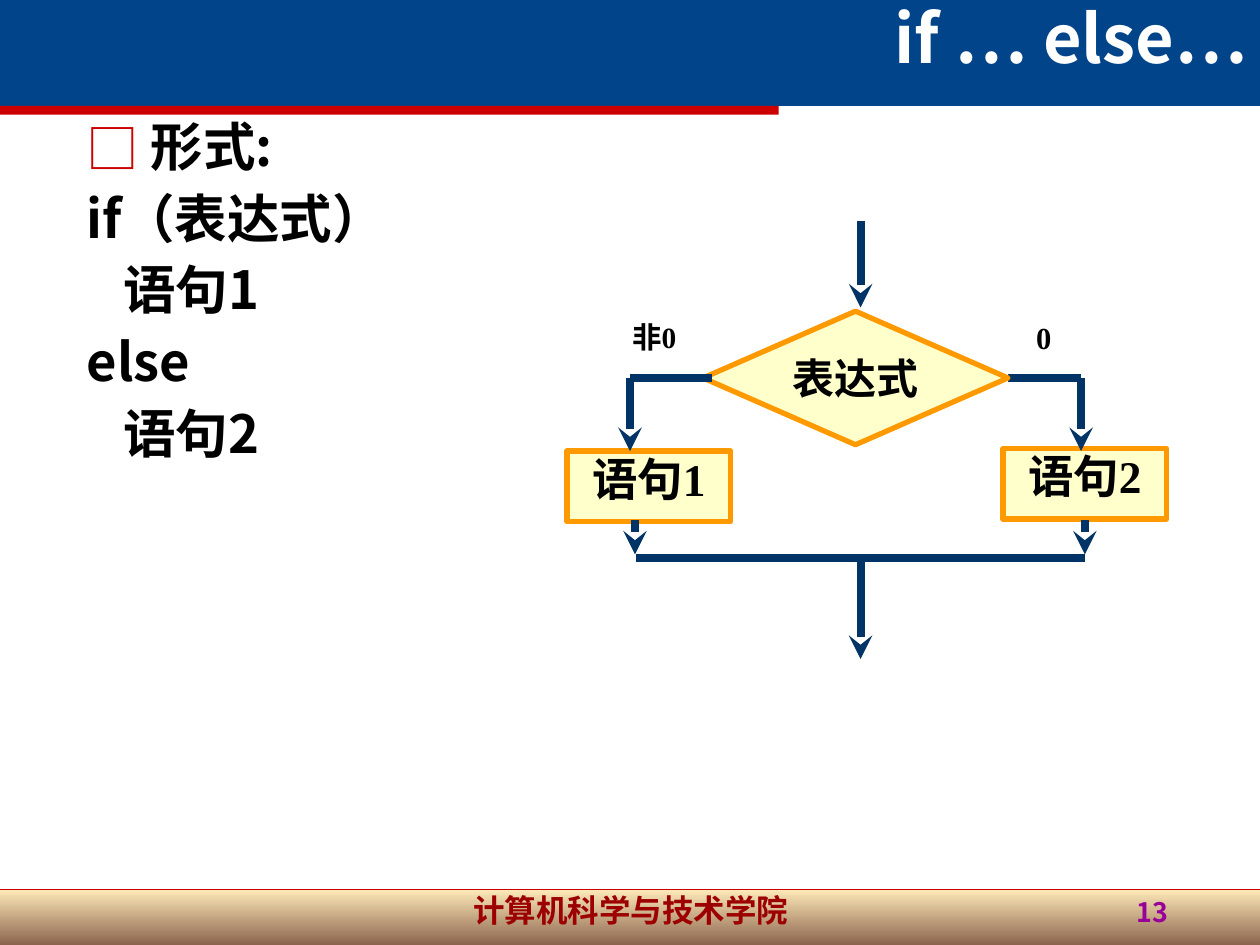
"""Build a slide that explains the if … else statement with a flowchart."""
from lxml.etree import SubElement
from pptx import Presentation
from pptx.dml.color import RGBColor
from pptx.enum.shapes import MSO_CONNECTOR as Connector, MSO_SHAPE as Shape
from pptx.enum.text import MSO_ANCHOR as Anchor, PP_ALIGN as Align
from pptx.oxml.ns import qn
from pptx.util import Inches, Pt

COLORS = {
    "header": "01448A", "accent": "CC0000", "footer_top": "FDE9B8", "footer_bottom": "8C644E",
    "school": "9C0000", "number": "990099", "white": "FFFFFF", "black": "000000",
    "box": "FFFFCC", "border": "FF9900", "flow": "003366",
}
SANS, SERIF = "Noto Sans CJK SC", "Times New Roman"

TITLE = "if … else…"
SCHOOL = "计算机科学与技术学院"
PAGE_NUMBER = "13"
BODY = [("形式:", 0.51, True), ("if（表达式）", 0, False), ("语句1", 0.29, False),
        ("else", 0, False), ("语句2", 0.29, False)]

BOXES = {
    "decision": ("表达式", Shape.FLOWCHART_DECISION, (5.58, 2.47, 2.42, 1.06), 24, 1),
    "then": ("语句1", Shape.FLOWCHART_PROCESS, (4.5, 3.58, 1.3, 0.56), 25.9, 0.9),
    "else": ("语句2", Shape.FLOWCHART_PROCESS, (7.96, 3.56, 1.3, 0.56), 25.9, 0.9),
}
LABELS = [("非0", (4.92, 2.54, 0.77, 0.42), 16.8, Align.JUSTIFY),
          ("0", (7.96, 2.54, 0.65, 0.42), 17.5, Align.CENTER)]
RIGHT_BRANCH = (8, 3, 8.58, 3)
PLAIN_LINES = [(5.05, 4.43, 8.61, 4.43), (5, 3, 5.65, 3)]
ARROWS = [(6.83, 1.75, 6.83, 2.44), (8.61, 4.13, 8.61, 4.4), (5.04, 4.13, 5.04, 4.4),
          (6.83, 4.4, 6.83, 5.23), (5, 3, 5, 3.58), (8.58, 3, 8.58, 3.58)]


def rgb(name):
    return RGBColor.from_string(COLORS[name])


def write(paragraph, text, size, font=SANS, color="black", align=Align.LEFT, spacing=0.9):
    paragraph.alignment = align
    paragraph.line_spacing = spacing
    run = paragraph.add_run()
    run.text = text
    run.font.size, run.font.bold = Pt(size), True
    run.font.color.rgb = rgb(color)
    run.font.name = font
    SubElement(run.font._element, qn("a:ea"), typeface=SANS)


def add_text_box(slide, place):
    frame = slide.shapes.add_textbox(*map(Inches, place)).text_frame
    frame.word_wrap = True
    return frame


def add_block(slide, kind, place, fill=None, border=None):
    shape = slide.shapes.add_shape(kind, *map(Inches, place))
    shape.shadow.inherit = False
    if fill:
        shape.fill.solid()
        shape.fill.fore_color.rgb = rgb(fill)
    if border:
        shape.line.color.rgb = rgb(border)
        shape.line.width = Pt(3)
    else:
        shape.line.fill.background()
    return shape


def add_line(slide, ends, color="flow", width=4.5, arrow=False):
    line = slide.shapes.add_connector(Connector.STRAIGHT, *map(Inches, ends))
    line.line.color.rgb = rgb(color)
    line.line.width = Pt(width)
    if arrow:
        SubElement(line.line._get_or_add_ln(), qn("a:tailEnd"), type="stealth")
    SubElement(line._element.spPr, qn("a:effectLst"))
    return line


def add_frame(slide):
    footer = add_block(slide, Shape.RECTANGLE, (0, 7.06, 10, 0.44))
    footer.fill.gradient()
    footer.fill.gradient_angle = 270
    for stop, name in zip(footer.fill.gradient_stops, ("footer_top", "footer_bottom")):
        stop.color.rgb = rgb(name)
    add_line(slide, (0, 7.06, 10, 7.06), color="accent", width=0.25)
    add_block(slide, Shape.RECTANGLE, (0, 0, 10, 0.84), fill="header")
    add_block(slide, Shape.RECTANGLE, (0, 0.84, 6.18, 0.07), fill="accent")
    for text, place, size, color, align in (
        (SCHOOL, (3.42, 7.06, 3.17, 0.44), 18, "school", Align.CENTER),
        (TITLE, (3.11, 0, 6.89, 0.75), 38, "white", Align.RIGHT),
        (PAGE_NUMBER, (7.2, 7.09, 2.17, 0.44), 15.3, "number", Align.RIGHT),
    ):
        write(add_text_box(slide, place).paragraphs[0], text, size, color=color, align=align)


def add_body(slide):
    frame = add_text_box(slide, (0.59, 0.91, 4, 3.5))
    for index, (text, margin, bulleted) in enumerate(BODY):
        paragraph = frame.add_paragraph() if index else frame.paragraphs[0]
        write(paragraph, text, 30)
        if index:
            paragraph.space_before = Pt(8.7)
        properties = paragraph._p.get_or_add_pPr()
        properties.set("marL", str(Inches(margin)))
        properties.set("indent", str(-Inches(margin) if bulleted else 0))
        if bulleted:
            bullet_color = SubElement(properties, qn("a:buClr"))
            SubElement(bullet_color, qn("a:srgbClr"), val=COLORS["accent"])
            SubElement(properties, qn("a:buFont"), typeface=SANS)
            SubElement(properties, qn("a:buChar"), char="□")


def add_flowchart(slide):
    right_branch = add_line(slide, RIGHT_BRANCH)
    boxes = {}
    for name, (text, kind, place, size, spacing) in BOXES.items():
        boxes[name] = add_block(slide, kind, place, fill="box", border="border")
        frame = boxes[name].text_frame
        frame.vertical_anchor = Anchor.MIDDLE if name == "decision" else Anchor.TOP
        write(frame.paragraphs[0], text, size, font=SERIF, align=Align.CENTER, spacing=spacing)
    right_branch.begin_connect(boxes["decision"], 3)
    for ends in PLAIN_LINES:
        add_line(slide, ends)
    for ends in ARROWS:
        add_line(slide, ends, arrow=True)
    for text, place, size, align in LABELS:
        paragraph = add_text_box(slide, place).paragraphs[0]
        write(paragraph, text, size, font=SERIF, align=align, spacing=0.8)


def main():
    presentation = Presentation()
    presentation.slide_width, presentation.slide_height = Inches(10), Inches(7.5)
    slide = presentation.slides.add_slide(presentation.slide_layouts[6])
    add_frame(slide)
    add_body(slide)
    add_flowchart(slide)
    presentation.save("out.pptx")


if __name__ == "__main__":
    main()
